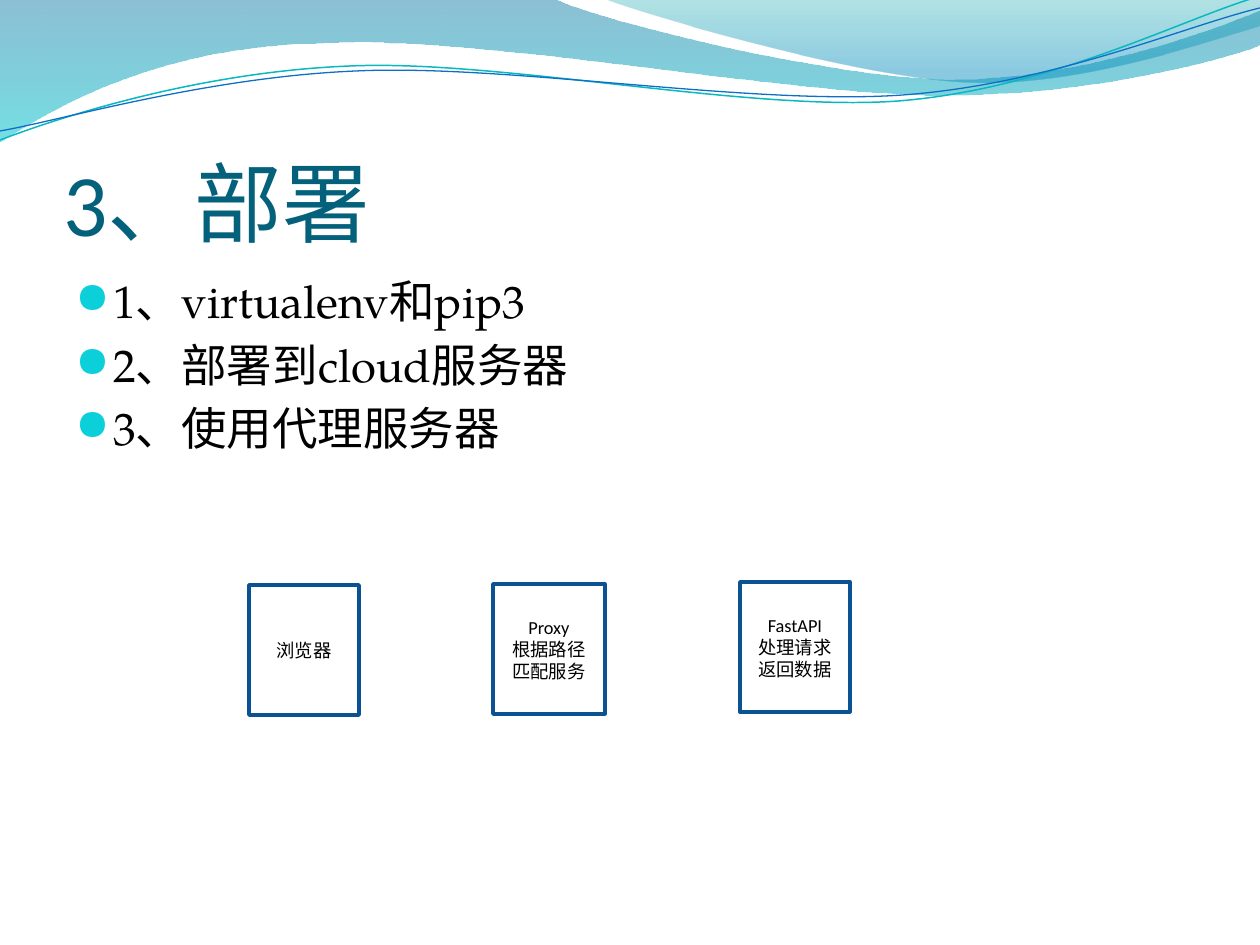
"""Build the deployment slide with its wave header, bullet list and three service boxes."""
from dataclasses import dataclass

from lxml import etree
from pptx import Presentation
from pptx import util as u
from pptx.dml.color import RGBColor
from pptx.enum import shapes, text
from pptx.oxml import ns

PX = 914400 / 126


@dataclass(frozen=True)
class Theme:
    title_color: str = "04617B"
    ink: str = "000000"
    bullet: str = "0BD0D9"
    box_line: str = "0B5292"
    heading_font: str = "Calibri"
    body_font: str = "TeX Gyre Pagella"
    bullet_font: str = "OpenSymbol"
    title_size: float = 50
    body_size: float = 26
    box_size: float = 10.5


theme = Theme()


def add_curve(slide, start, segments, closed):
    """Draw a path whose segments are lines (one point) or cubic curves (three points)."""
    builder = slide.shapes.build_freeform(*start, scale=PX)
    builder.add_line_segments([point for segment in segments for point in segment], close=closed)
    shape = builder.convert_to_shape()
    shape.shadow.inherit = False
    lines = iter(list(shape.element.spPr.iter(ns.qn("a:lnTo"))))
    for segment in segments:
        members = [next(lines) for _ in segment]
        if len(members) == 3:
            curve = etree.Element(ns.qn("a:cubicBezTo"))
            members[0].addprevious(curve)
            for member in members:
                curve.append(member[0])
                member.getparent().remove(member)
    return shape


def add_run(paragraph, words, font, size, color):
    """Add one formatted run to a paragraph."""
    run = paragraph.add_run()
    run.text = words
    run.font.name = font
    run.font.size = u.Pt(size)
    run.font.color.rgb = RGBColor.from_string(color)


presentation = Presentation()
presentation.slide_width = u.Inches(10)
presentation.slide_height = u.Inches(7.5)
slide = presentation.slides.add_slide(presentation.slide_layouts[5])

waves = [
    ((0, 0), [
        [(554, -1)],
        [(600, 21), (837, 79), (955, 79)],
        [(1075, 79), (1207, 33), (1260, 11)],
        [(1261, 45)],
        [(1239, 55), (1096, 96), (940, 95)],
        [(784, 95), (481, 35), (324, 43)],
        [(163, 45), (58, 105), (-1, 142)],
        [(0, 0)],
    ], [(0, "0074A1", 45), (1, "00C6CF", 55)]),
    ((604, -1), [
        [(641, 14), (859, 78), (969, 82)],
        [(1079, 87), (1211, 40), (1260, 26)],
        [(1260, 0)],
        [(604, -1)],
    ], [(0, "00A1A9", 30), (0.8, "008BBF", 45)]),
]
for start, segments, stops in waves:
    wave = add_curve(slide, start, segments, True)
    wave.line.fill.background()
    wave.fill.gradient()
    wave.fill.gradient_angle = 270
    for stop, (position, color, _) in zip(wave.fill.gradient_stops, stops):
        stop.position = position
        stop.color.rgb = RGBColor.from_string(color)
    colors = wave.element.spPr.iter(ns.qn("a:srgbClr"))
    for color_element, (_, _, opacity) in zip(colors, stops):
        etree.SubElement(color_element, ns.qn("a:alpha"), val=str(opacity * 1000))

ribbons = [
    ((0, 140), [
        [(60, 117), (199, 72), (349, 66)],
        [(498, 59), (747, 112), (898, 101)],
        [(1050, 89), (1182, 19), (1257, -3)],
    ], "0AB8BF", 0.85),
    ((0, 131), [
        [(59, 121), (207, 77), (357, 71)],
        [(508, 64), (752, 106), (903, 95)],
        [(1053, 84), (1185, 26), (1260, 8)],
    ], "0F6FC6", 0.75),
]
for start, segments, color, width in ribbons:
    ribbon = add_curve(slide, start, segments, False)
    ribbon.fill.background()
    ribbon.line.color.rgb = RGBColor.from_string(color)
    ribbon.line.width = u.Pt(width)

title = slide.shapes.title
title.left, title.top, title.width, title.height = (
    u.Emu(round(n * PX)) for n in (63, 97, 1134, 157))
frame = title.text_frame
frame.auto_size = text.MSO_AUTO_SIZE.NONE
frame.vertical_anchor = text.MSO_ANCHOR.BOTTOM
frame.margin_left = frame.margin_right = frame.margin_bottom = 0
frame.margin_top = u.Inches(0.05)
paragraph = frame.paragraphs[0]
paragraph.alignment = text.PP_ALIGN.LEFT
add_run(paragraph, "3、部署", theme.heading_font, theme.title_size, theme.title_color)

body = slide.shapes.add_textbox(*(u.Emu(round(n * PX)) for n in (63, 267, 1134, 605)))
frame = body.text_frame
frame.word_wrap = True
steps = ["1、virtualenv和pip3", "2、部署到cloud服务器", "3、使用代理服务器"]
for index, step in enumerate(steps):
    paragraph = frame.add_paragraph() if index else frame.paragraphs[0]
    paragraph.space_before = u.Pt(theme.body_size * 0.2)
    properties = paragraph._p.get_or_add_pPr()
    properties.set("marL", str(u.Inches(0.3)))
    properties.set("indent", str(-u.Inches(0.3)))
    bullet_color = etree.SubElement(properties, ns.qn("a:buClr"))
    etree.SubElement(bullet_color, ns.qn("a:srgbClr"), val=theme.bullet)
    etree.SubElement(properties, ns.qn("a:buSzPct"), val="95000")
    etree.SubElement(properties, ns.qn("a:buFont"), typeface=theme.bullet_font)
    etree.SubElement(properties, ns.qn("a:buChar"), char="●")
    add_run(paragraph, step, theme.body_font, theme.body_size, theme.ink)

services = [
    (249, 585, 110, ["浏览器"]),
    (493, 584, 112, ["Proxy", "根据路径匹配服务"]),
    (740, 582, 110, ["FastAPI", "处理请求返回数据"]),
]
for left, top, width, lines in services:
    box = slide.shapes.add_shape(
        shapes.MSO_SHAPE.RECTANGLE, *(u.Emu(round(n * PX)) for n in (left, top, width, 130)))
    box.shadow.inherit = False
    box.fill.background()
    box.line.color.rgb = RGBColor.from_string(theme.box_line)
    box.line.width = u.Pt(2)
    frame = box.text_frame
    frame.word_wrap = True
    frame.vertical_anchor = text.MSO_ANCHOR.MIDDLE
    for index, line in enumerate(lines):
        paragraph = frame.add_paragraph() if index else frame.paragraphs[0]
        paragraph.alignment = text.PP_ALIGN.CENTER
        add_run(paragraph, line, theme.heading_font, theme.box_size, theme.ink)

presentation.save("out.pptx")
